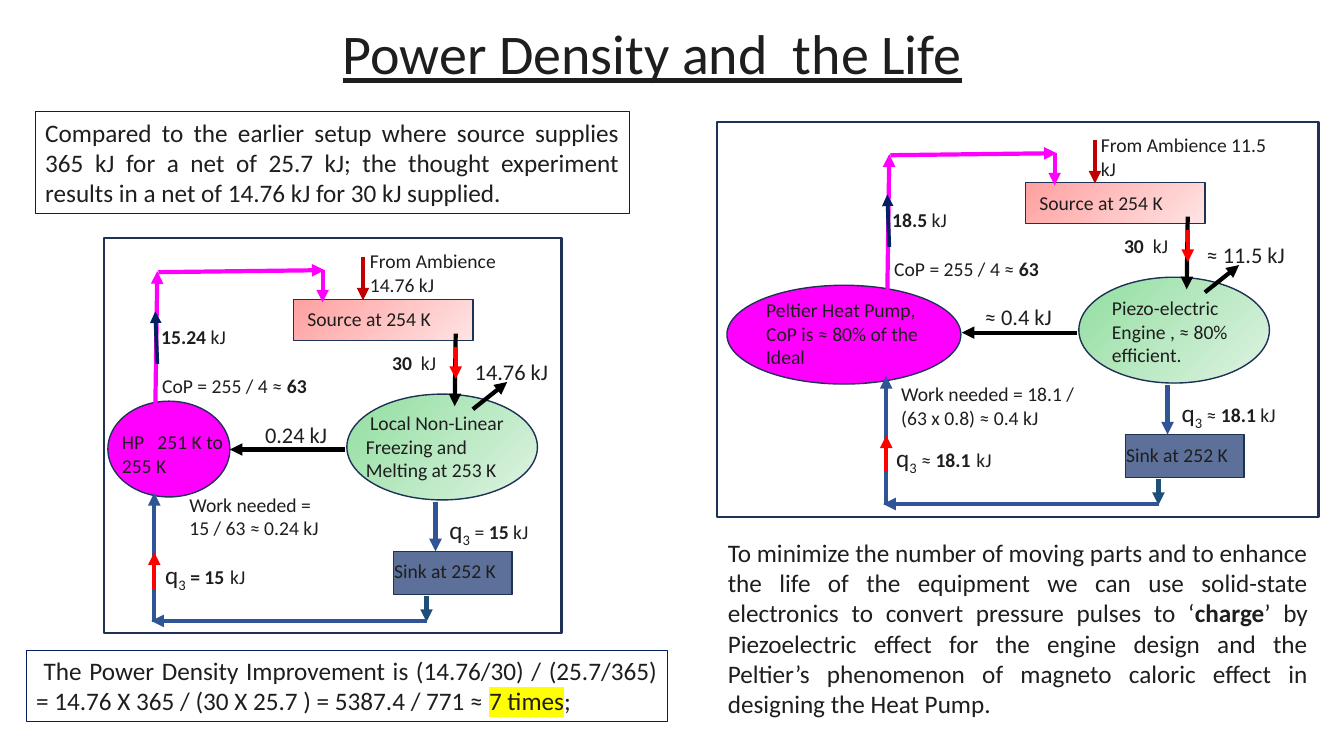
"""Build a slide comparing the power density of two heat engine cycles."""
from lxml.etree import SubElement
from pptx import Presentation
from pptx.dml.color import RGBColor as Color
from pptx.enum.shapes import MSO_CONNECTOR as Link, MSO_SHAPE as Kind
from pptx.enum.text import MSO_AUTO_SIZE as AutoSize, PP_ALIGN as Align
from pptx.oxml.ns import qn
from pptx.util import Inches, Pt

COLUMN = ROW = Inches(0.1)
COLORS = {
    "text": "1E1E1E", "navy": "002060", "edge": "1E3256", "black": "000000",
    "blue": "2F5597", "teal": "1F4E79", "red": "FF0000", "crimson": "C00000",
    "magenta": "FF00FF", "yellow": "FFFF00",
}
GRADIENTS = {"green": ("91DEA0", "DFF3E3"), "pink": ("FFA0A0", "FFE3E3")}
BOLD = {"bold": True}

ARROWS = [
    ("black", 34.9, 9.5, 34.8, 16.7),
    ("blue", 32.9, 26.2, 32.9, 31.1),
    ("red", 34.9, 10.8, 34.9, 14),
    ("teal", 32, 35.5, 32, 38.1),
    ("blue", 32.1, 38, 4.7, 38),
    ("magenta", 5.1, 17.5, 5.3, 3.3),
    ("magenta", 5.4, 3.4, 21.9, 3.2),
    ("magenta", 21.7, 3.2, 21.7, 6.4),
    ("black", 36.6, 17, 40, 14.3),
    ("crimson", 25.7, 1.9, 25.7, 6.2),
    ("black", 23.9, 21, 12.5, 21),
    ("blue", 5, 38.1, 5, 25.3),
    ("navy", 5.3, 12.5, 5.1, 7.3),
    ("red", 5, 34.8, 5, 31.2),
]

SHARED_LABELS = [
    ((19.2, 6.4, 16.5, 3.4), ["Source at 254 K"]),
    ((27.8, 31.4, 14.7, 3.4), ["Sink at 252 K"]),
    ((27.6, 10.7, 10.9, 3.4), [[("30 ", BOLD), " kJ"]]),
    ((4.8, 13, 19, 3.4), [["CoP = 255 / 4 ≈ ", ("63", BOLD)]]),
]


def heat_symbol():
    """Return the spans of the heat symbol with its subscript."""
    return [("q", {"size": Pt(18)}), ("3", {"size": Pt(18), "sub": True})]


MELTING = {
    "frame": (0, 0, 45.4, 39.2),
    "pump": (0.4, 16.2, 12.1, 9.5),
    "labels": [
        ((25, 16.7, 17.4, 8.1), [" Local Non-Linear Freezing and", "Melting at 253 K"]),
        ((33.3, 26.9, 11.3, 4), [heat_symbol() + [" = ", ("15", BOLD), " kJ"]]),
        ((25.4, 0.6, 18.6, 5.7), ["From Ambience 14.76 kJ"]),
        ((7.5, 24.8, 17.1, 5.7), ["Work needed = 15 / 63 ≈ 0.24 kJ"]),
        ((4.7, 8.1, 11.1, 3.4), [[("15.24", BOLD), " kJ"]]),
        ((5.1, 31.4, 13.3, 4),
         [heat_symbol() + [(" = 15", BOLD), (" ", {"size": Pt(18)}), "kJ"]]),
        ((0.8, 18.6, 12.2, 5.7), ["HP   251 K to 255 K"]),
    ],
    "works": [((35.8, 11.4, 9.5, 3.7), ["14.76 kJ"]),
              ((15, 17.7, 9.5, 3.7), ["0.24 kJ"])],
}
PIEZO = {
    "frame": (-11.8, 0.1, 59.7, 39.2),
    "pump": (-10.8, 16.3, 23.2, 9.8),
    "labels": [
        ((26.4, 16.9, 17.4, 8.1), ["Piezo-electric", "Engine , ≈ 80% efficient."]),
        ((33.3, 26.9, 15.5, 4), [heat_symbol() + [" ≈ ", ("18.1", BOLD), " kJ"]]),
        ((25.3, 0.7, 18.6, 5.7), ["From Ambience 11.5 kJ"]),
        ((5.5, 25.4, 21.2, 5.7), ["Work needed = 18.1 / (63 x 0.8) ≈ 0.4 kJ"]),
        ((4.6, 8.1, 11.1, 3.4), [[("18.5", BOLD), " kJ"]]),
        ((5, 31.4, 13.3, 4),
         [heat_symbol() + [" ≈", (" 18.1", BOLD), (" ", {"size": Pt(18)}), "kJ"]]),
        ((-7.9, 17.1, 18.6, 8.1), ["Peltier Heat Pump, CoP is ≈ 80% of the Ideal"]),
    ],
    "works": [((35.8, 11.4, 11.4, 3.7), ["≈ 11.5 kJ"]),
              ((13.8, 17.6, 11.5, 3.7), ["≈ 0.4 kJ"])],
}


def place(box, cells):
    """Return the lengths of an area of grid cells counted from the box corner."""
    left, top, width, height = cells
    return (round((box[0] + left) * COLUMN), round((box[1] + top) * ROW),
            round(width * COLUMN), round(height * ROW))


def outline(item, color, width):
    """Give a shape or connector a plain line."""
    item.line.color.rgb = Color.from_string(COLORS[color])
    item.line.width = Pt(width)


def add_span(para, text, size, formats):
    """Add one run of text with its format values."""
    values = {"name": "Calibri", "size": Pt(size), **formats}
    subscript = values.pop("sub", False)
    highlight = values.pop("highlight", None)
    span = para.add_run()
    span.text = text
    for name, value in values.items():
        setattr(span.font, name, value)
    span.font.color.rgb = Color.from_string(COLORS["text"])
    props = span.font._element
    if subscript:
        props.set("baseline", "-25000")
    if highlight:
        mark = SubElement(props, qn("a:highlight"))
        SubElement(mark, qn("a:srgbClr"), val=COLORS[highlight])
        props.find(qn("a:solidFill")).addnext(mark)


def add_text(page, box, cells, paras, size=14, formats=None, **layout):
    """Add a wrapping text box whose paragraphs are strings or lists of spans."""
    note = page.shapes.add_textbox(*place(box, cells))
    frame = note.text_frame
    frame.word_wrap = True
    frame.auto_size = AutoSize.SHAPE_TO_FIT_TEXT
    for index, spans in enumerate(paras):
        para = frame.add_paragraph() if index else frame.paragraphs[0]
        for name, value in layout.items():
            setattr(para, name, value)
        for span in [spans] if isinstance(spans, str) else spans:
            text, extra = (span, {}) if isinstance(span, str) else span
            add_span(para, text, size, {**(formats or {}), **extra})
    return note


def add_part(page, box, cells, kind, fill=None, alpha=None, width=1):
    """Add a filled or empty shape of the cycle."""
    part = page.shapes.add_shape(kind, *place(box, cells))
    part.shadow.inherit = False
    outline(part, "edge", width)
    if fill in GRADIENTS:
        part.fill.gradient()
        part.fill.gradient_angle = 315
        for stop, color in zip(part.fill.gradient_stops, GRADIENTS[fill]):
            stop.color.rgb = Color.from_string(color)
    elif fill:
        part.fill.solid()
        part.fill.fore_color.rgb = Color.from_string(COLORS[fill])
    else:
        part.fill.background()
    if alpha:
        tint = part._element.spPr.find(qn("a:solidFill"))[0]
        SubElement(tint, qn("a:alpha"), val=str(alpha * 1000))


def add_arrow(page, box, color, *ends):
    """Add a straight arrow between two grid points."""
    start, stop = place(box, (*ends[:2], 0, 0))[:2], place(box, (*ends[2:], 0, 0))[:2]
    arrow = page.shapes.add_connector(Link.STRAIGHT, *start, *stop)
    outline(arrow, color, 2.75 if color == "navy" else 3)
    SubElement(arrow.line._get_or_add_ln(), qn("a:tailEnd"), type="triangle")
    SubElement(arrow._element.spPr, qn("a:effectLst"))


def add_cycle(page, box, cycle):
    """Draw a heat engine driving a heat pump between source and sink."""
    add_part(page, box, cycle["frame"], Kind.RECTANGLE, width=1.75)
    add_part(page, box, (28.7, 31.1, 11.8, 4.3), Kind.RECTANGLE, "navy", alpha=64)
    add_part(page, box, (24.1, 15.5, 18.9, 10.5), Kind.OVAL, "green")
    add_part(page, box, (18.8, 6.1, 17.8, 4.1), Kind.RECTANGLE, "pink")
    add_part(page, box, cycle["pump"], Kind.OVAL, "magenta")
    for arrow in ARROWS:
        add_arrow(page, box, *arrow)
    for cells, paras in SHARED_LABELS + cycle["labels"]:
        add_text(page, box, cells, paras)
    for cells, paras in cycle["works"]:
        add_text(page, box, cells, paras, size=16)


def add_statements(page, box):
    """Add the title and the three justified statements."""
    add_text(page, box, (33, 0.9, 66.1, 7.9), ["Power Density and  the Life"], 40,
             {"underline": True}, alignment=Align.JUSTIFY, line_spacing=1.07,
             space_after=Pt(8))
    statements = [
        ((3.5, 11.1, 58.9, 10.1), True, [
            "Compared to the earlier setup where source supplies 365 kJ for a net of "
            "25.7 kJ; the thought experiment results in a net of 14.76 kJ for 30 kJ "
            "supplied."]),
        ((2.6, 64.5, 63.6, 7.1), True, [
            " The Power Density Improvement is (14.76/30) / (25.7/365) = 14.76 X 365 / "
            "(30 X 25.7 ) = 5387.4 / 771 ≈ ", ("7 times", {"highlight": "yellow"}), ";"]),
        ((71.2, 52.8, 59.5, 19.2), False, [
            "To minimize the number of moving parts and to enhance the life of the "
            "equipment we can use solid-state electronics to convert pressure pulses "
            "to ‘", ("charge", BOLD), "’ by Piezoelectric effect for the engine design "
            "and the Peltier’s phenomenon of magneto caloric effect in designing the "
            "Heat Pump."]),
    ]
    for cells, framed, spans in statements:
        note = add_text(page, box, cells, [spans], 18, alignment=Align.JUSTIFY)
        if framed:
            outline(note, "navy", 0.75)


def main():
    """Build and save the deck."""
    deck = Presentation()
    deck.slide_width, deck.slide_height = Inches(13.33), Inches(7.5)
    page = deck.slides.add_slide(deck.slide_layouts[6])
    add_statements(page, (0, 0))
    add_cycle(page, (10.3, 23.6), MELTING)
    add_cycle(page, (82.9, 12), PIEZO)
    deck.save("out.pptx")


if __name__ == "__main__":
    main()
